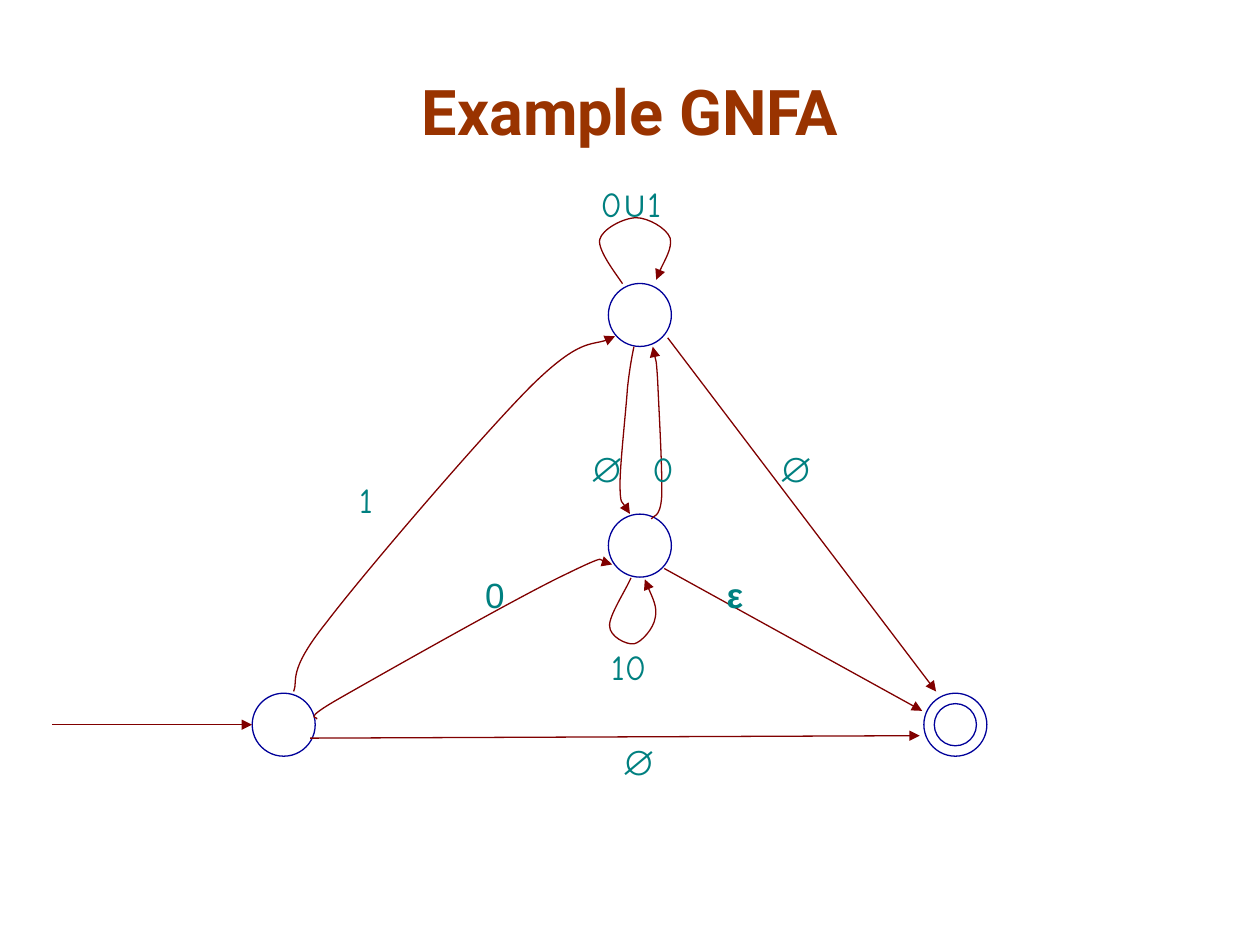
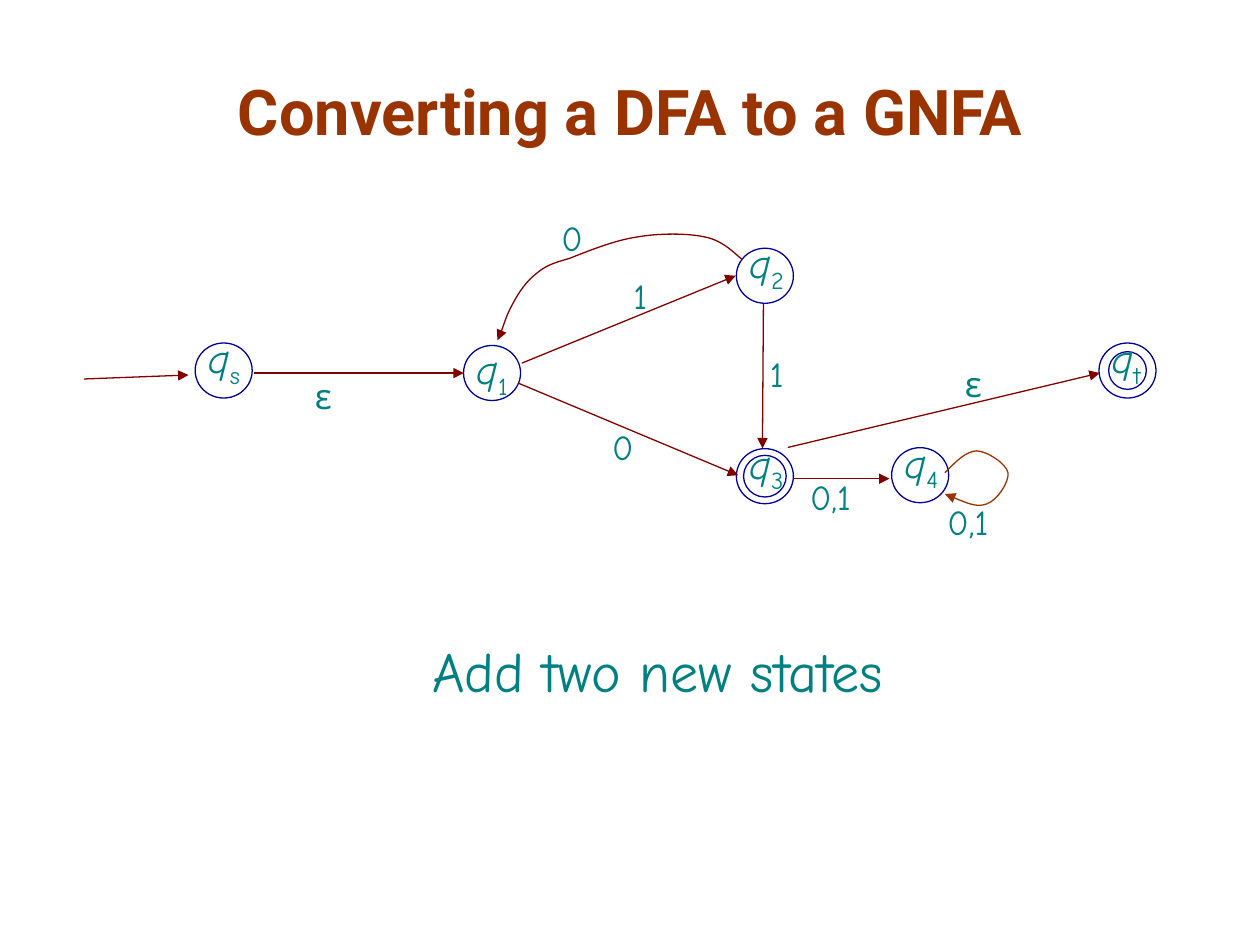
from dataclasses import dataclass

from lxml import etree
from pptx import Presentation
from pptx.dml.color import RGBColor
from pptx.enum.shapes import MSO_CONNECTOR, MSO_SHAPE
from pptx.enum.text import MSO_ANCHOR, PP_ALIGN
from pptx.oxml.ns import qn
from pptx.util import Cm, Pt

OVAL = MSO_SHAPE.OVAL
STRAIGHT = MSO_CONNECTOR.STRAIGHT
MIDDLE = MSO_ANCHOR.MIDDLE
CENTER = PP_ALIGN.CENTER
BLANK_LAYOUT = 6


@dataclass(frozen=True)
class Theme:
    title_color: RGBColor = RGBColor(0x99, 0x33, 0x00)
    text_color: RGBColor = RGBColor(0x00, 0x80, 0x80)
    state_color: RGBColor = RGBColor(0x00, 0x00, 0x99)
    arrow_color: RGBColor = RGBColor(0x80, 0x00, 0x00)
    title_font: str = "Roboto"
    text_font: str = "Comic Neue"
    symbol_font: str = "Arial"
    title_size: Pt = Pt(36)
    body_size: Pt = Pt(32)
    state_size: Pt = Pt(24)
    label_size: Pt = Pt(20)
    line_width: Pt = Pt(0.75)


THEME = Theme()


def set_font(font, name, size, color, bold=False):
    font.name = name
    font.size = size
    font.color.rgb = color
    font.bold = bold


def add_box(page, left, top, width, height):
    box = page.shapes.add_textbox(Cm(left), Cm(top), Cm(width), Cm(height))
    box.text_frame.word_wrap = True
    return box.text_frame


def add_title(page, text):
    frame = add_box(page, 1.9, 1.27, 21.6, 1.9)
    frame.vertical_anchor = MIDDLE
    para = frame.paragraphs[0]
    para.alignment = CENTER
    set_font(para.font, THEME.title_font, THEME.title_size, THEME.title_color, True)
    para.add_run().text = text


def add_text(page, text, left, top, width=1.88, height=1.12,
             font=THEME.text_font, size=THEME.label_size, bold=False):
    para = add_box(page, left, top, width, height).paragraphs[0]
    set_font(para.font, font, size, THEME.text_color, bold)
    para.add_run().text = text


def add_union_label(page, first, second, left, top):
    para = add_box(page, left, top, 2.34, 1.12).paragraphs[0]
    para.font.size = THEME.label_size
    para.font.color.rgb = THEME.text_color
    for text, font in ((first, THEME.text_font), ("∪", THEME.symbol_font),
                       (second, THEME.text_font)):
        span = para.add_run()
        span.text = text
        span.font.name = font


def add_ring(page, center, width, height):
    x, y = center
    ring = page.shapes.add_shape(
        OVAL, Cm(x - width / 2), Cm(y - height / 2), Cm(width), Cm(height))
    ring.shadow.inherit = False
    ring.fill.background()
    ring.line.color.rgb = THEME.state_color
    ring.line.width = THEME.line_width


def add_state_name(page, center, subscript, drop):
    x, y = center
    para = add_box(page, x - 0.57, y - 0.91 + drop, 1.88, 1.42).paragraphs[0]
    set_font(para.font, THEME.text_font, THEME.state_size, THEME.text_color)
    letter = para.add_run()
    letter.text = "q"
    letter.font.italic = True
    index = para.add_run()
    index.text = subscript
    index._r.get_or_add_rPr().set("baseline", "-25000")


def add_state(page, center, size, inner=None, subscript=None, drop=0):
    add_ring(page, center, *size)
    if inner:
        add_ring(page, center, *inner)
    if subscript:
        add_state_name(page, center, subscript, drop)


def style_arrow(line, color):
    line.color.rgb = color
    line.width = THEME.line_width
    etree.SubElement(line._get_or_add_ln(), qn("a:tailEnd"), type="triangle")


def add_arrow(page, start, end):
    arrow = page.shapes.add_connector(STRAIGHT, *(Cm(v) for v in start + end))
    style_arrow(arrow.line, THEME.arrow_color)
    etree.SubElement(arrow._element.spPr, qn("a:effectLst"))


def add_curve(page, points, color=THEME.arrow_color):
    start, *controls = [(Cm(x), Cm(y)) for x, y in points]
    builder = page.shapes.build_freeform(*start)
    builder.add_line_segments(controls, close=False)
    curve = builder.convert_to_shape()
    outline = next(curve._element.iter(qn("a:path")))
    segments = outline.findall(qn("a:lnTo"))
    for first in range(0, len(segments), 3):
        bezier = etree.SubElement(outline, qn("a:cubicBezTo"))
        for segment in segments[first:first + 3]:
            bezier.append(segment[0])
            outline.remove(segment)
    curve.shadow.inherit = False
    curve.fill.background()
    style_arrow(curve.line, color)


def build_example(page):
    add_title(page, "Example GNFA")
    size = (1.27, 1.27)
    for center in ((5.72, 14.61), (12.9, 11), (12.9, 6.35)):
        add_state(page, center, size)
    add_state(page, (19.26, 14.61), size, inner=(0.85, 0.85))

    for start, end in (
        ((1.05, 14.61), (5.08, 14.61)),
        ((13.46, 6.81), (18.87, 13.94)),
        ((6.25, 14.88), (18.54, 14.83)),
        ((13.39, 11.46), (18.59, 14.33)),
    ):
        add_arrow(page, start, end)

    middle_to_top = [
        (13.13, 10.46), (13.16, 10.39), (13.31, 10.46), (13.34, 10.01),
        (13.36, 9.55), (13.28, 8.2), (13.26, 7.7),
        (13.23, 7.19), (13.18, 7.14), (13.16, 6.99)]
    top_to_middle = [
        (12.78, 6.99), (12.75, 7.14), (12.7, 7.37), (12.65, 7.82),
        (12.62, 8.28), (12.5, 9.35), (12.5, 9.75),
        (12.5, 10.19), (12.65, 10.24), (12.7, 10.36)]
    start_to_middle = [
        (6.38, 14.5), (6.45, 14.43), (6.02, 14.55), (6.86, 14.07),
        (7.7, 13.59), (10.49, 12.01), (11.4, 11.58),
        (12.32, 11.13), (12.14, 11.4), (12.34, 11.38)]
    start_to_top = [
        (5.92, 13.94), (6.02, 13.72), (5.77, 13.56), (6.58, 12.55),
        (7.37, 11.51), (9.75, 8.74), (10.72, 7.77),
        (11.68, 6.83), (12.04, 6.99), (12.4, 6.78)]
    middle_loop = [
        (12.72, 11.65), (12.62, 11.89), (12.27, 12.42), (12.29, 12.62),
        (12.29, 12.83), (12.62, 13), (12.78, 12.98),
        (12.93, 12.95), (13.18, 12.67), (13.21, 12.45),
        (13.26, 12.24), (13.06, 11.84), (13, 11.68)]
    top_loop = [
        (12.55, 5.72), (12.47, 5.59), (12.04, 5.05), (12.09, 4.83),
        (12.14, 4.62), (12.57, 4.39), (12.83, 4.39),
        (13.06, 4.39), (13.44, 4.6), (13.51, 4.8),
        (13.56, 5), (13.28, 5.46), (13.23, 5.64)]
    for points in (middle_to_top, top_to_middle, start_to_middle,
                   start_to_top, middle_loop, top_loop):
        add_curve(page, points)

    add_union_label(page, "0", "1", 11.86, 3.56)
    for text, left, top, width in (
        ("1", 6.99, 9.53, 1.47), ("10", 12.07, 12.88, 2.11), ("0", 12.9, 8.89, 2.11),
    ):
        add_text(page, text, left, top, width)
    for text, left, top, width, bold in (
        ("∅", 12.27, 14.81, 1.47, True),
        ("0", 9.53, 11.43, 1.47, False),
        ("ε", 14.4, 11.43, 1.47, True),
        ("∅", 11.63, 8.89, 2.11, False),
        ("∅", 15.44, 8.89, 3.81, False),
    ):
        add_text(page, text, left, top, width, font=THEME.symbol_font, bold=bold)


def build_conversion(page):
    add_title(page, "Converting a DFA to a GNFA")
    add_text(page, "Add two new states", 8.46, 12.7, 11.43, 2.34, size=THEME.body_size)

    size = (1.15, 1.11)
    for subscript, center, inner, drop in (
        ("s", (4.51, 7.47), None, 0),
        ("1", (9.92, 7.52), None, 0.18),
        ("2", (15.42, 5.56), None, 0),
        ("3", (15.42, 9.6), (0.86, 0.84), 0),
        ("4", (18.55, 9.58), None, 0),
        ("t", (22.73, 7.47), (0.76, 0.76), 0),
    ):
        add_state(page, center, size, inner, subscript, drop)

    for start, end in (
        ((1.69, 7.64), (3.8, 7.56)),
        ((5.13, 7.52), (9.35, 7.52)),
        ((10.52, 7.32), (14.83, 5.56)),
        ((10.44, 7.72), (14.88, 9.58)),
        ((15.39, 6.12), (15.37, 9.04)),
        ((15.98, 9.65), (17.93, 9.65)),
        ((15.88, 9.02), (22.17, 7.52)),
    ):
        add_arrow(page, start, end)

    add_curve(page, [
        (14.96, 5.23), (14.83, 5.13), (14.58, 4.85), (14.22, 4.78),
        (13.87, 4.7), (13.28, 4.7), (12.83, 4.78),
        (12.37, 4.85), (11.81, 5.08), (11.48, 5.21),
        (11.13, 5.31), (11, 5.36), (10.82, 5.51),
        (10.62, 5.66), (10.46, 5.89), (10.34, 6.12),
        (10.21, 6.35), (10.11, 6.71), (10.03, 6.86)])
    add_curve(page, [
        (19.05, 9.53), (19.25, 9.32), (19.48, 9.09), (19.69, 9.09),
        (19.89, 9.09), (20.29, 9.35), (20.32, 9.53),
        (20.35, 9.7), (20.12, 10.08), (19.89, 10.16),
        (19.69, 10.24), (19.35, 10.08), (19.05, 9.96)], THEME.title_color)

    for left, top in ((6.1, 7.42), (19.2, 7.19)):
        add_text(page, "ε", left, top, 3.18)
    for text, left, top in (
        ("1", 12.52, 5.41), ("1", 15.27, 6.99),
        ("0", 12.09, 8.46), ("0", 11.07, 4.24),
        ("0,1", 16.08, 9.47), ("0,1", 18.85, 9.96),
    ):
        add_text(page, text, left, top)


def main():
    deck = Presentation()
    deck.slide_width = Cm(25.4)
    deck.slide_height = Cm(19.05)
    for build in (build_example, build_conversion):
        build(deck.slides.add_slide(deck.slide_layouts[BLANK_LAYOUT]))
    deck.save("out.pptx")


if __name__ == "__main__":
    main()
